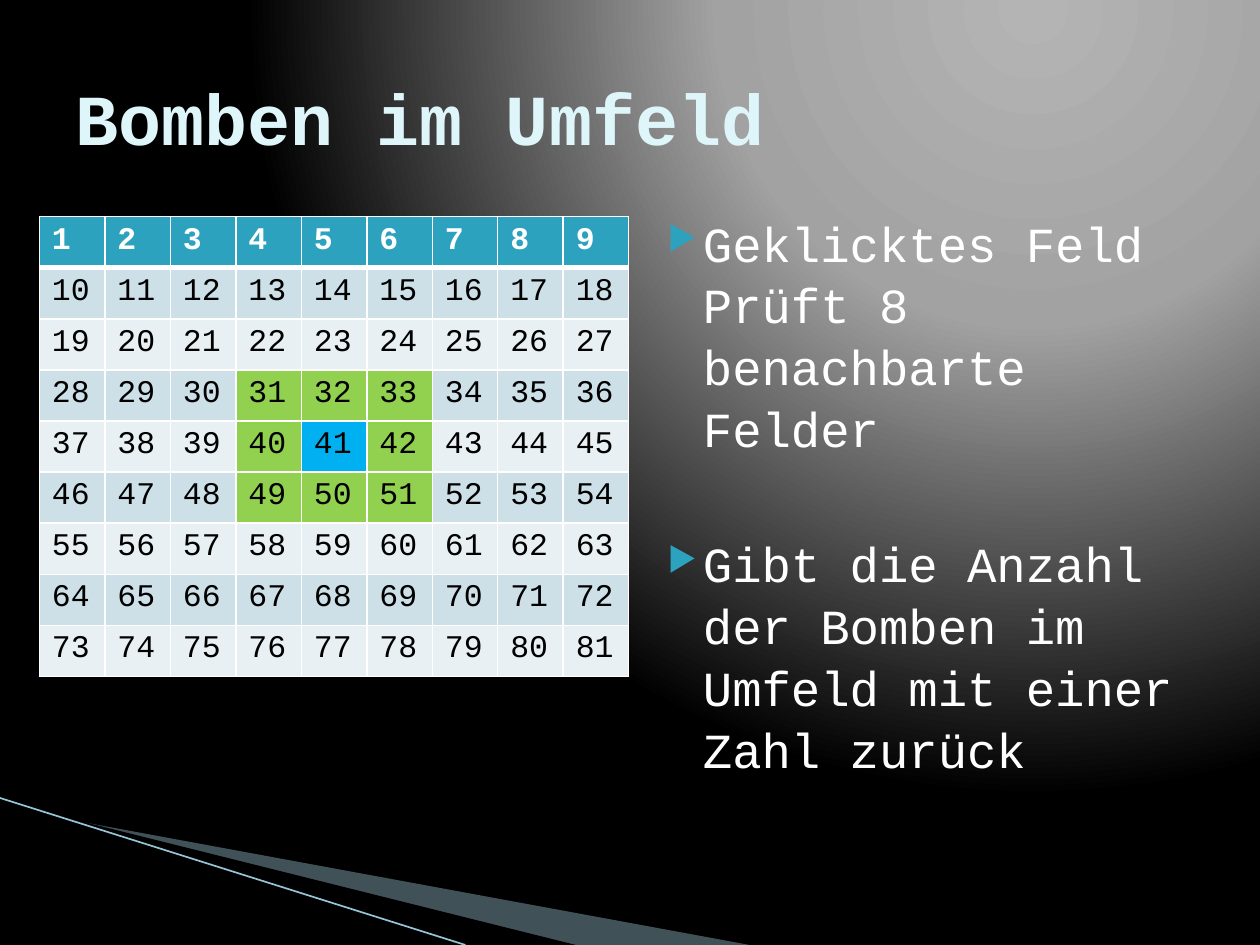
import pptx
import pptx.dml.color
import pptx.enum.shapes
import pptx.enum.text
import pptx.oxml
import pptx.oxml.ns
import pptx.util
from lxml import etree

Pt = pptx.util.Pt
RGBColor = pptx.dml.color.RGBColor
qn = pptx.oxml.ns.qn

WHITE = RGBColor(0xFF, 0xFF, 0xFF)
BLACK = RGBColor(0x00, 0x00, 0x00)
TITLE_ICE = RGBColor(0xDE, 0xF5, 0xFA)
TEAL = RGBColor(0x2D, 0xA2, 0xBF)
BAND_DARK = RGBColor(0xCD, 0xE0, 0xE8)
BAND_LIGHT = RGBColor(0xE8, 0xF0, 0xF4)
NEIGHBOUR_GREEN = RGBColor(0x92, 0xD0, 0x50)
CLICKED_BLUE = RGBColor(0x00, 0xB0, 0xF0)
WEDGE_BLUE = RGBColor(0xA0, 0xCB, 0xDC)
LINE_BLUE = RGBColor(0x97, 0xC5, 0xD8)
GLOW = ((0, RGBColor(0xB4, 0xB4, 0xB4)), (40, RGBColor(0xA2, 0xA2, 0xA2)), (100, BLACK))

FONT = "Courier New"
SIDE = 9
CENTRE = SIDE // 2
CELL_WIDTH, CELL_HEIGHT = 37.44, 29.2
POINTS = (
    "Geklicktes Feld Prüft 8 benachbarte Felder",
    "Gibt die Anzahl der Bomben im Umfeld mit einer Zahl zurück",
)


def apply_format(target, values):
    """Set every attribute named in values on target."""
    for name, value in values.items():
        setattr(target, name, value)


def format_font(font, size, color, bold=False):
    """Give a font the slide's typeface, a size, a colour and a weight."""
    apply_format(font, {"name": FONT, "size": Pt(size), "bold": bold})
    font.color.rgb = color


def add_color(parent, color, **modifiers):
    """Append an RGB colour element with optional modifiers."""
    element = etree.SubElement(parent, qn("a:srgbClr"), val=str(color))
    for name, value in modifiers.items():
        etree.SubElement(element, qn(f"a:{name}"), val=str(value))


def paint_background(page):
    """Fill the page with a circular glow from the upper right."""
    fill = page.background.fill
    fill.gradient()
    gradient = page.background._cSld.find(".//" + qn("a:gradFill"))
    for child in list(gradient):
        gradient.remove(child)
    stops = etree.SubElement(gradient, qn("a:gsLst"))
    for position, color in GLOW:
        add_color(etree.SubElement(stops, qn("a:gs"), pos=str(position * 1000)), color)
    circle = etree.SubElement(gradient, qn("a:path"), path="circle")
    etree.SubElement(circle, qn("a:fillToRect"), l="65000", t="0", r="0", b="98000")


def add_wedge(page, corners, color, opacity=100):
    """Draw a filled outline through the given corners."""
    start, *others = [(Pt(x), Pt(y)) for x, y in corners]
    builder = page.shapes.build_freeform(*start)
    builder.add_line_segments(others, close=True)
    wedge = builder.convert_to_shape()
    wedge.shadow.inherit = False
    wedge.fill.solid()
    wedge.fill.fore_color.rgb = color
    wedge.line.fill.background()
    if opacity < 100:
        tint = wedge._element.spPr.find(qn("a:solidFill"))[0]
        etree.SubElement(tint, qn("a:alpha"), val=str(opacity * 1000))


def add_line(page, start, end, color, width):
    """Draw a plain straight line."""
    line = page.shapes.add_connector(
        pptx.enum.shapes.MSO_CONNECTOR.STRAIGHT, *map(Pt, start + end)
    )
    line.line.color.rgb = color
    line.line.width = Pt(width)
    etree.SubElement(line._element.spPr, qn("a:effectLst"))


def set_title(page, text):
    """Place and format the title."""
    title = page.shapes.title
    apply_format(title, {"left": Pt(36), "top": Pt(21.6), "width": Pt(648), "height": Pt(90)})
    title.text = text
    title.text_frame.vertical_anchor = pptx.enum.text.MSO_ANCHOR.MIDDLE
    para = title.text_frame.paragraphs[0]
    para.alignment = pptx.enum.text.PP_ALIGN.LEFT
    format_font(para.runs[0].font, 41, TITLE_ICE, True)


def cell_color(row, column):
    """Return the fill for a field by its distance from the clicked one."""
    if row == 0:
        return TEAL
    distance = max(abs(row - CENTRE), abs(column - CENTRE))
    band = BAND_DARK if row % 2 else BAND_LIGHT
    return {0: CLICKED_BLUE, 1: NEIGHBOUR_GREEN}.get(distance, band)


def add_borders(cell, row):
    """Give a cell white borders, with a thick rule below the header."""
    widths = {"L": 1, "R": 1, "T": 3 if row == 1 else 1, "B": 3 if row == 0 else 1}
    properties = cell._tc.get_or_add_tcPr()
    for side, width in widths.items():
        border = etree.SubElement(properties, qn(f"a:ln{side}"), w=str(Pt(width)))
        add_color(etree.SubElement(border, qn("a:solidFill")), WHITE)


def add_field(page):
    """Add the numbered playing field as a table."""
    table = page.shapes.add_table(
        SIDE, SIDE, Pt(22.5), Pt(123.8), Pt(SIDE * CELL_WIDTH), Pt(SIDE * CELL_HEIGHT)
    ).table
    for column in table.columns:
        column.width = Pt(CELL_WIDTH)
    for index, cell in enumerate(table.iter_cells()):
        row, column = divmod(index, SIDE)
        cell.text = str(index + 1)
        add_borders(cell, row)
        cell.fill.solid()
        cell.fill.fore_color.rgb = cell_color(row, column)
        header = row == 0
        span = cell.text_frame.paragraphs[0].runs[0]
        format_font(span.font, 18, WHITE if header else BLACK, header)


def add_bullet(para):
    """Give a paragraph a hanging teal triangle."""
    properties = para._p.get_or_add_pPr()
    properties.set("marL", str(Pt(28.8)))
    properties.set("indent", str(Pt(-20.16)))
    add_color(etree.SubElement(properties, qn("a:buClr")), TEAL)
    etree.SubElement(properties, qn("a:buSzPct"), val="68000")
    etree.SubElement(properties, qn("a:buChar"), char="▶")


def add_points(page, texts):
    """Add the bulleted explanation."""
    box = page.shapes.add_textbox(Pt(365.8), Pt(116.6), Pt(318.2), Pt(356.4))
    box.text_frame.word_wrap = True
    for index, text in enumerate(texts):
        para = box.text_frame.add_paragraph() if index else box.text_frame.paragraphs[0]
        add_bullet(para)
        apply_format(para, {"space_before": Pt(42 if index else 4), "line_spacing": 1.05})
        span = para.add_run()
        span.text = text
        format_font(span.font, 28, WHITE)


def main():
    """Build and save the deck."""
    deck = pptx.Presentation()
    apply_format(deck, {"slide_width": Pt(720), "slide_height": Pt(540)})
    page = deck.slides.add_slide(deck.slide_layouts[5])
    paint_background(page)
    add_wedge(page, [(39.6, 468.4), (428.4, 540), (328.3, 540)], WEDGE_BLUE, 40)
    add_wedge(page, [(38.2, 467.3), (329, 540), (267.8, 540), (38.9, 468)], BLACK)
    add_line(page, (0, 456), (266, 540), LINE_BLUE, 0.95)
    add_field(page)
    add_points(page, POINTS)
    set_title(page, "Bomben im Umfeld")
    deck.save("out.pptx")


if __name__ == "__main__":
    main()
